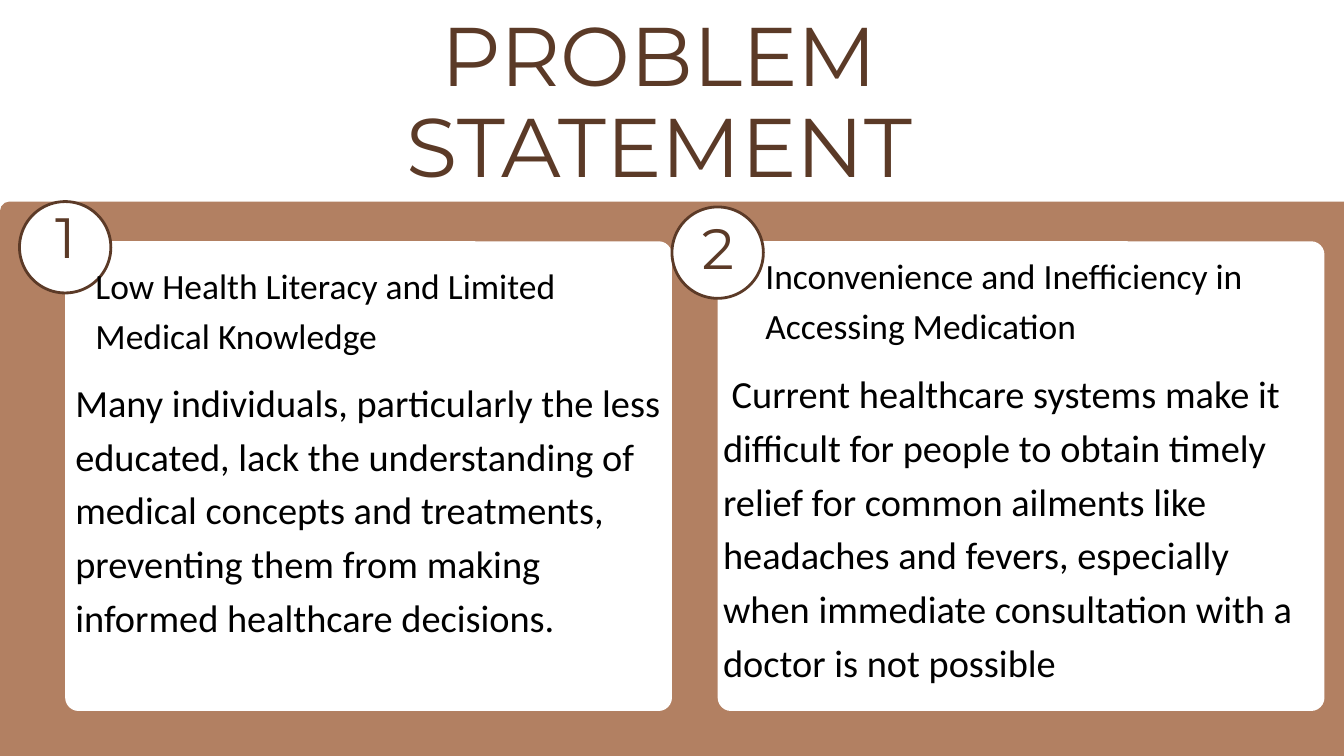
"""Build the two-card problem statement slide."""
from dataclasses import dataclass

import pptx
import pptx.dml.color
import pptx.enum.shapes
import pptx.enum.text
import pptx.oxml
import pptx.oxml.ns
import pptx.util

Pt = pptx.util.Pt
Kind = pptx.enum.shapes.MSO_SHAPE
Align = pptx.enum.text.PP_ALIGN
HUES = {"clay": "B28062", "white": "FFFFFF", "brown": "5B3A27", "black": "000000"}
COLS, ROWS = 20, 11.25
WIDE, HIGH = pptx.util.Inches(20), pptx.util.Inches(11.25)

Box = tuple[float, float, float, float]


@dataclass(frozen=True)
class Style:
    font: str
    size: float
    lead: float
    hue: str
    align: Align


@dataclass(frozen=True)
class Card:
    left: float
    disc: Box
    digit: str
    spot: Box
    head: str
    top: Box
    body: str
    main: Box
    slots: tuple[int, int]


TITLE = Style("Montserrat", 89.1, 98, "brown", Align.CENTER)
DIGIT = Style("Montserrat", 60.8, 66.9, "brown", Align.CENTER)
HEAD = Style("Calibri", 38, 53.3, "black", Align.LEFT)
BODY = Style("Calibri", 41.1, 57.5, "black", Align.LEFT)

CARDS = (
    Card(0.97, (0.29, 3, 1.36, 1.36), "1", (0.56, 3.08, 0.83, 1.01),
         "Low Health Literacy and Limited Medical Knowledge",
         (1.42, 3.82, 7.85, 1.46),
         "Many individuals, particularly the less educated, lack the "
         "understanding of medical concepts and treatments, preventing them "
         "from making informed healthcare decisions.",
         (1.12, 5.53, 8.88, 4.73), (1, 2)),
    Card(10.68, (10, 3.08, 1.36, 1.36), "2", (10.27, 3.25, 0.83, 1.01),
         "Inconvenience and Inefficiency in Accessing Medication",
         (11.39, 3.68, 7.91, 1.46),
         " Current healthcare systems make it difficult for people to obtain "
         "timely relief for common ailments like headaches and fevers, "
         "especially when immediate consultation with a doctor is not possible",
         (10.76, 5.4, 8.88, 4.73), (3, 4)),
)


def tint(name: str) -> pptx.dml.color.RGBColor:
    """Return the named colour."""
    return pptx.dml.color.RGBColor.from_string(HUES[name])


def place(box: Box) -> tuple[int, int, int, int]:
    """Turn grid columns and rows into slide lengths."""
    left, top, width, height = box
    return (int(left * WIDE / COLS), int(top * HIGH / ROWS),
            int(width * WIDE / COLS), int(height * HIGH / ROWS))


def draw(slide, kind: Kind, box: Box, fill: str, edge: str = "", curve: float = 0):
    """Draw a filled shape, with an outline or corner radius if given."""
    shape = slide.shapes.add_shape(kind, *place(box))
    shape.shadow.inherit = False
    shape.fill.solid()
    shape.fill.fore_color.rgb = tint(fill)
    if edge:
        shape.line.color.rgb = tint(edge)
        shape.line.width = Pt(3)
    else:
        shape.line.fill.background()
    if curve:
        shape.adjustments[0] = curve / min(box[2:])


def write(shape, box: Box, text: str, style: Style) -> None:
    """Move a text shape to the front and fill it with styled text."""
    shape.element.getparent().append(shape.element)
    shape.left, shape.top, shape.width, shape.height = place(box)
    frame = shape.text_frame
    frame.margin_left = frame.margin_top = 0
    frame.margin_right = frame.margin_bottom = 0
    frame.word_wrap = True
    frame.auto_size = pptx.enum.text.MSO_AUTO_SIZE.SHAPE_TO_FIT_TEXT
    frame.vertical_anchor = pptx.enum.text.MSO_ANCHOR.TOP
    para = frame.paragraphs[0]
    para.alignment = style.align
    para.line_spacing = Pt(style.lead)
    para.space_before = Pt(0)
    props = para._p.get_or_add_pPr()
    props.set("marL", "0")
    props.set("indent", "0")
    props.append(pptx.oxml.parse_xml(f"<a:buNone {pptx.oxml.ns.nsdecls('a')}/>"))
    run = para.add_run()
    run.text = text
    run.font.name = style.font
    run.font.size = Pt(style.size)
    run.font.bold = False
    run.font.color.rgb = tint(style.hue)


def fill(slide, card: Card) -> None:
    """Draw one numbered card with its heading and body."""
    holes = {hole.placeholder_format.idx: hole for hole in slide.placeholders}
    head, main = card.slots
    draw(slide, Kind.ROUNDED_RECTANGLE, (card.left, 3.59, 9.03, 6.99), "white", curve=0.2)
    write(holes[main], card.main, card.body, BODY)
    draw(slide, Kind.OVAL, card.disc, "white", "brown")
    write(holes[head], card.top, card.head, HEAD)
    label = slide.shapes.add_textbox(*place(card.spot))
    write(label, card.spot, card.digit, DIGIT)


def main() -> None:
    """Build and save the slide."""
    deck = pptx.Presentation()
    deck.slide_width, deck.slide_height = WIDE, HIGH
    slide = deck.slides.add_slide(deck.slide_layouts.get_by_name("Comparison"))
    slide.background.fill.solid()
    slide.background.fill.fore_color.rgb = tint("white")
    draw(slide, Kind.ROUNDED_RECTANGLE, (0, 3, 20.21, 9.46), "clay", curve=0.14)
    write(slide.shapes.title, (5.58, 0.17, 8.47, 2.84), "PROBLEM STATEMENT", TITLE)
    for card in CARDS:
        fill(slide, card)
    deck.save("out.pptx")


if __name__ == "__main__":
    main()
